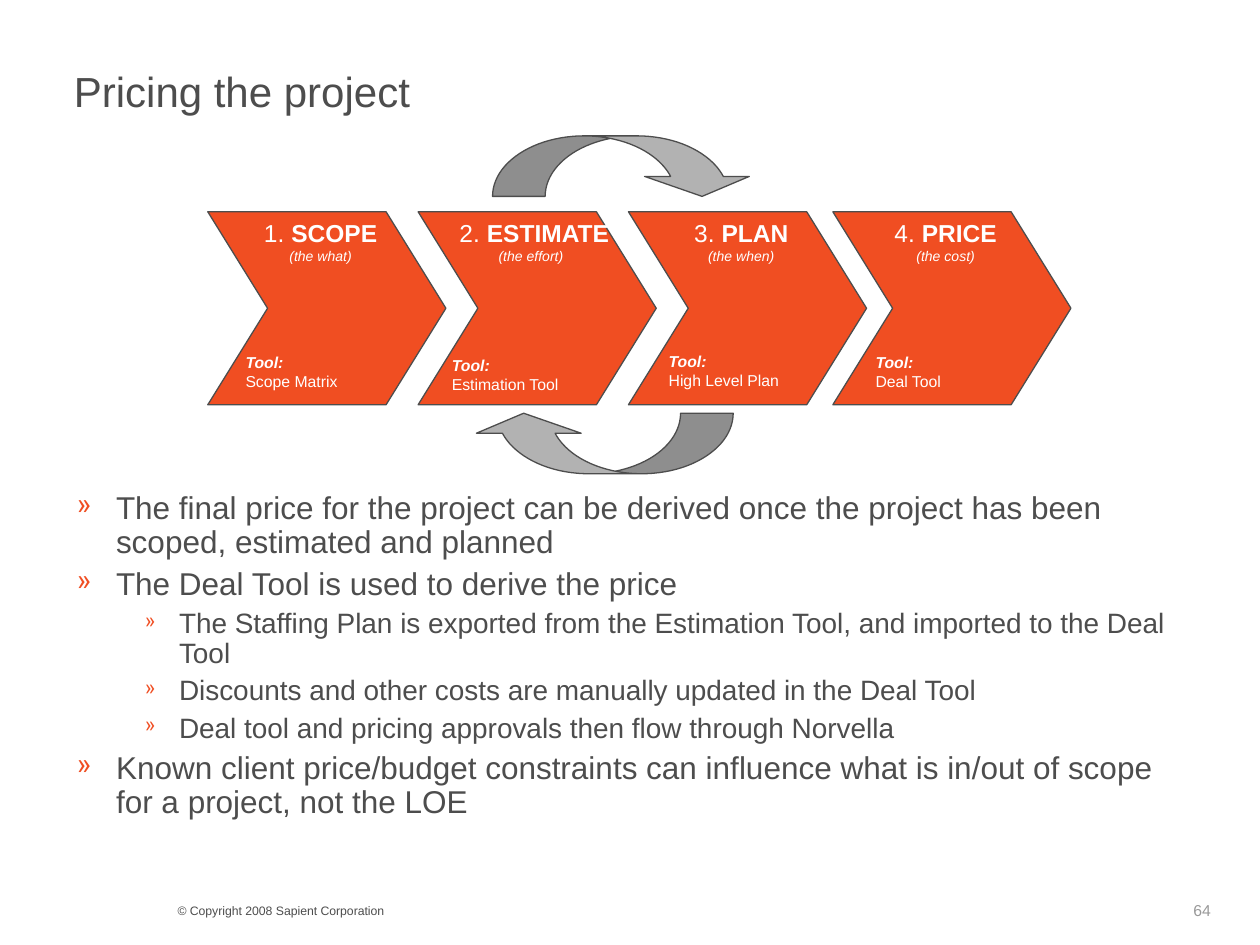
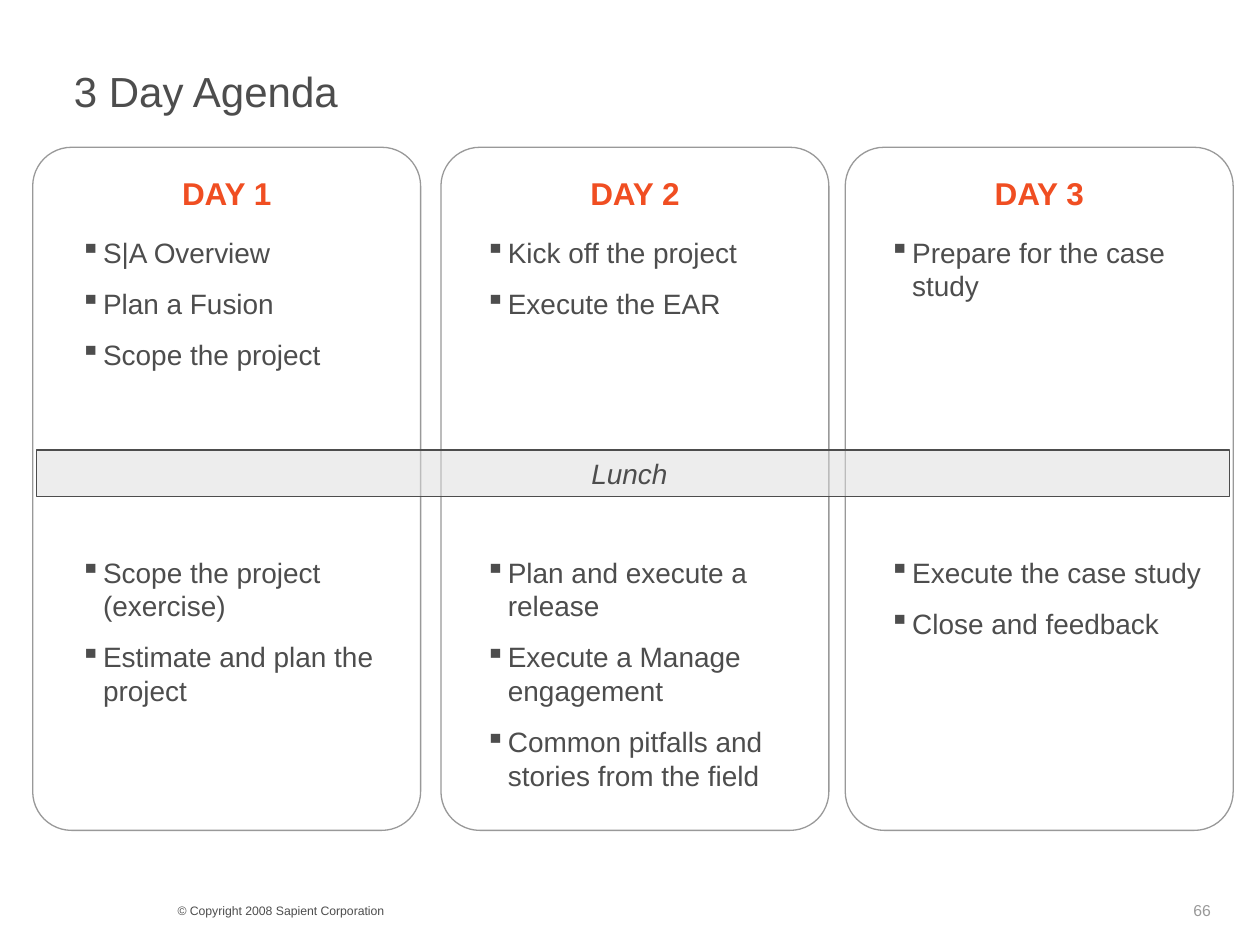
"""Build the project pricing slide and the three day agenda slide."""
import lxml.etree
import pptx
import pptx.dml.color
import pptx.enum.shapes
import pptx.enum.text
import pptx.oxml.ns
import pptx.util

Cm, Pt = pptx.util.Cm, pptx.util.Pt
SHAPE = pptx.enum.shapes.MSO_SHAPE
ALIGN = pptx.enum.text.PP_ALIGN
ANCHOR = pptx.enum.text.MSO_ANCHOR

RED, INK, GREY, WHITE = "F04E22", "4D4D4D", "999999", "FFFFFF"
SILVER, PALE = "B2B2B2", "DDDDDD"

STYLES = {
    "title": (24, INK, {}),
    "note": (7, INK, {}),
    "page": (9, GREY, {}),
    "main": (18, INK, {}),
    "sub": (16, INK, {}),
    "step": (14, WHITE, {}),
    "name": (14, WHITE, {"bold": True}),
    "hint": (8, WHITE, {"italic": True}),
    "label": (9, WHITE, {"bold": True, "italic": True}),
    "tool": (9, WHITE, {}),
    "day": (18, RED, {"bold": True}),
    "item": (16, INK, {}),
    "lunch": (16, INK, {"italic": True}),
}
BULLETS = {
    "main": {"sign": "»", "color": RED, "size": 85, "left": 0.79, "hang": 0.79, "level": 0},
    "sub": {"sign": "»", "color": RED, "size": 70, "left": 2.06, "hang": 0.69, "level": 1},
    "item": {"sign": "▪", "color": INK, "size": 100, "left": 0.46, "hang": 0.46, "level": 0},
}
SPACING = {
    "main": {"line_spacing": 0.9, "space_before": Pt(4.5)},
    "sub": {"line_spacing": 0.9, "space_before": Pt(4)},
    "item": {"space_before": Pt(10)},
    "note": {"line_spacing": 1.01},
    "day": {"line_spacing": 1.01},
}

NOTE = "© Copyright 2008 Sapient Corporation"
POINTS = [
    ("main", "The final price for the project can be derived once the project has been "
             "scoped, estimated and planned"),
    ("main", "The Deal Tool is used to derive the price"),
    ("sub", "The Staffing Plan is exported from the Estimation Tool, and imported to the Deal Tool"),
    ("sub", "Discounts and other costs are manually updated in the Deal Tool"),
    ("sub", "Deal tool and pricing approvals then flow through Norvella"),
    ("main", "Known client price/budget constraints can influence what is in/out of scope "
             "for a project, not the LOE"),
]
STEPS = [
    (4.19, "1. ", "SCOPE", "(the what)", "Scope Matrix", (4.7, 6.99)),
    (8.43, " 2. ", "ESTIMATE", "(the effort)", "Estimation Tool", (8.86, 7.04)),
    (12.67, "3. ", "PLAN", "(the when)", "High Level Plan", (13.23, 6.96)),
    (16.79, "4. ", "PRICE", "(the cost)", "Deal Tool", (17.4, 6.99)),
]
LOOPS = [(9.5, 8.33, 180), (9.93, 2.74, 0)]
DAYS = [
    (0.66, 1.37, "DAY 1",
     ["S|A Overview", "Plan a Fusion", "Scope the project"],
     ["Scope the project (exercise)", "Estimate and plan the project"]),
    (8.89, 9.53, "DAY 2",
     ["Kick off the project", "Execute the EAR"],
     ["Plan and execute a release", "Execute a Manage engagement",
      "Common pitfalls and stories from the field"]),
    (17.04, 17.68, "DAY 3",
     ["Prepare for the case study"],
     ["Execute the case study", "Close and feedback"]),
]
CARD = {"top": 2.97, "wide": 7.82, "high": 13.77}
HALVES = (4.62, 11.07)


def put(thing, values):
    """Set each attribute named in values."""
    for key, value in values.items():
        setattr(thing, key, value)


def tint(hue):
    """Turn a hex string into a colour."""
    return pptx.dml.color.RGBColor.from_string(hue)


def add(parent, tag, **values):
    """Append a drawing element with attributes."""
    child = lxml.etree.SubElement(parent, pptx.oxml.ns.qn(tag))
    for key, value in values.items():
        child.set(key, str(value))
    return child


def mark(para, sign, color, size, left, hang, level):
    """Give a paragraph its bullet and indent."""
    para.level = level
    props = para._p.get_or_add_pPr()
    props.set("marL", str(Cm(left)))
    props.set("indent", str(-Cm(hang)))
    add(add(props, "a:buClr"), "a:srgbClr", val=color)
    add(props, "a:buSzPct", val=size * 1000)
    add(props, "a:buChar", char=sign)


def write(shape, paras, align=ALIGN.LEFT, **frame):
    """Fill a shape with paragraphs of (style, text) runs."""
    text = shape.text_frame
    put(text, {"word_wrap": True, "vertical_anchor": ANCHOR.TOP, **frame})
    for rank, runs in enumerate(paras):
        para = text.add_paragraph() if rank else text.paragraphs[0]
        kind = runs[0][0]
        if kind in BULLETS:
            mark(para, **BULLETS[kind])
        put(para, {"alignment": align, **SPACING.get(kind, {})})
        if not rank:
            para.space_before = Pt(0)
        for style, words in runs:
            size, hue, extra = STYLES[style]
            run = para.add_run()
            run.text = words
            put(run.font, {"name": "Arial", "size": Pt(size), "bold": False,
                           "italic": False, **extra})
            run.font.color.rgb = tint(hue)


def box(slide, area, paras, **frame):
    """Add a text box."""
    write(slide.shapes.add_textbox(*map(Cm, area)), paras, **frame)


def draw(slide, kind, area, fill, line, adjust=()):
    """Add a preset shape without shadow."""
    shape = slide.shapes.add_shape(kind, *map(Cm, area))
    shape.shadow.inherit = False
    for rank, value in enumerate(adjust):
        shape.adjustments[rank] = value
    if fill:
        shape.fill.solid()
        shape.fill.fore_color.rgb = tint(fill)
    else:
        shape.fill.background()
    shape.line.color.rgb = tint(line)
    shape.line.width = Pt(0.75)
    return shape


def start(deck, title, page):
    """Add a slide with its title and footers."""
    slide = deck.slides.add_slide(deck.slide_layouts[6])
    box(slide, (3.33, 18.08, 10.16, 0.56), [[("note", NOTE)]])
    box(slide, (23.83, 18.06, 1.5, 0.61), [[("page", page)]],
        margin_left=Cm(0.23), margin_top=Cm(0.1))
    box(slide, (1.24, 1.12, 22.89, 1.4), [[("title", title)]],
        vertical_anchor=ANCHOR.MIDDLE)
    return slide


def price(deck):
    """Build the pricing slide."""
    slide = start(deck, "Pricing the project", "64")
    box(slide, (1.3, 9.8, 22.83, 7.7), [[point] for point in POINTS])
    for left, count, name, hint, tool, spot in STEPS:
        step = draw(slide, SHAPE.CHEVRON, (left, 4.27, 4.8, 3.89), RED, INK, [0.31])
        write(step, [[("step", count), ("name", name)], [("hint", hint)]],
              align=ALIGN.CENTER, word_wrap=False, margin_left=0)
        box(slide, (*spot, 3, 1.02), [[("label", "Tool:")], [("tool", tool)]])
    for left, top, turn in LOOPS:
        loop = draw(slide, SHAPE.CURVED_DOWN_ARROW, (left, top, 5.28, 1.22),
                    SILVER, INK, [0.87, 1.73, 0.33])
        loop.rotation = turn


def agenda(deck):
    """Build the agenda slide."""
    slide = start(deck, "3 Day Agenda", "66")
    for left, _, name, *_ in DAYS:
        draw(slide, SHAPE.ROUNDED_RECTANGLE,
             (left, CARD["top"], CARD["wide"], CARD["high"]), None, GREY, [0.1])
        box(slide, (left, 3.38, CARD["wide"], 1.04), [[("day", name)]], align=ALIGN.CENTER)
    lunch = draw(slide, SHAPE.RECTANGLE, (0.74, 9.07, 24.05, 0.94), PALE, INK)
    add(lunch.fill._xPr.find(".//" + pptx.oxml.ns.qn("a:srgbClr")), "a:alpha", val=50000)
    write(lunch, [[("lunch", "Lunch ")]], align=ALIGN.CENTER, vertical_anchor=ANCHOR.MIDDLE)
    for _, left, _, *parts in DAYS:
        for top, items in zip(HALVES, parts):
            box(slide, (left, top, 7.19, 5), [[("item", item)] for item in items])


def main():
    """Build and save the deck."""
    deck = pptx.Presentation()
    put(deck, {"slide_width": Cm(25.4), "slide_height": Cm(19.05)})
    price(deck)
    agenda(deck)
    deck.save("out.pptx")


if __name__ == "__main__":
    main()
